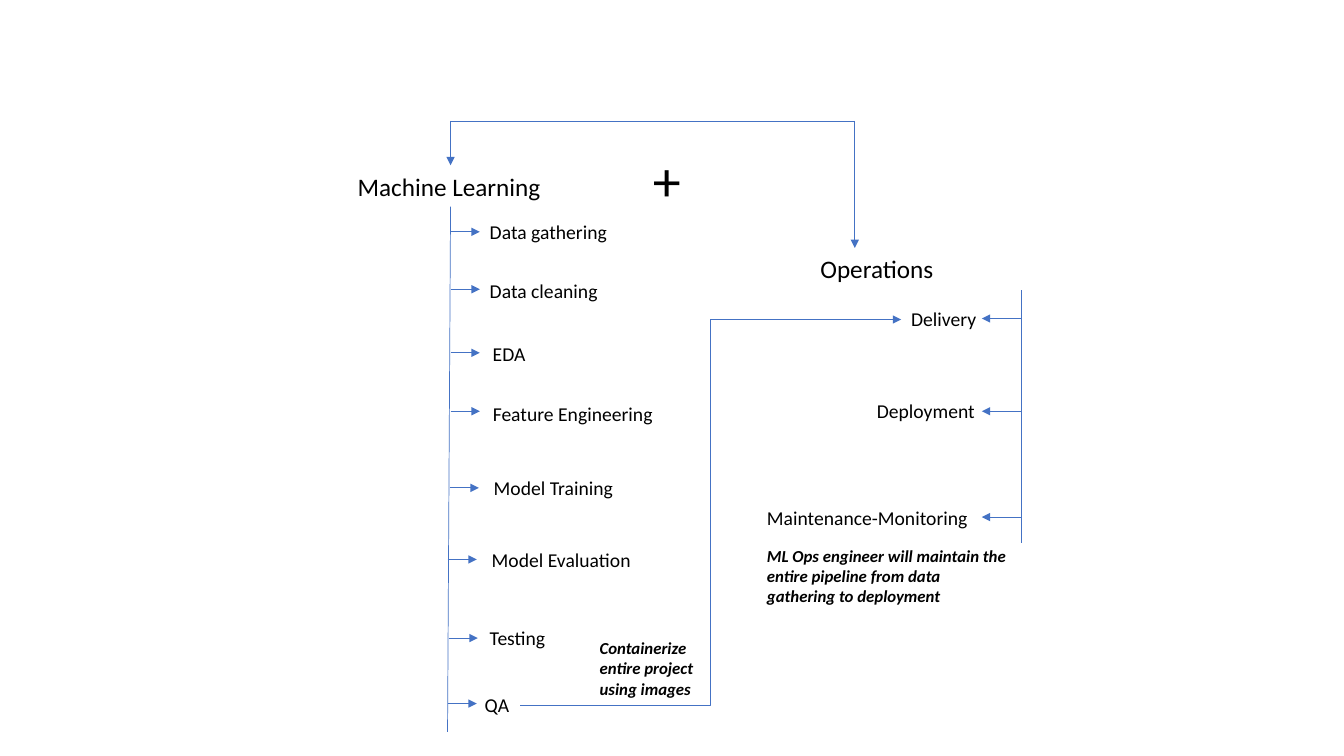
from dataclasses import dataclass

from lxml import etree
from pptx import Presentation
from pptx.dml.color import RGBColor
from pptx.enum.shapes import MSO_CONNECTOR
from pptx.enum.text import MSO_AUTO_SIZE
from pptx.oxml.ns import qn
from pptx.util import Inches, Pt

STRAIGHT, ELBOW = MSO_CONNECTOR.STRAIGHT, MSO_CONNECTOR.ELBOW
FIT_SHAPE = MSO_AUTO_SIZE.SHAPE_TO_FIT_TEXT

# The slide is a grid of square cells, 133.3 columns by 75 rows.
CELL = Inches(0.1)
COLUMNS, ROWS = 133.33, 75

BLUE, BLACK = "4472C4", "000000"
HEADING = {"size": Pt(18)}
STEP = {"size": Pt(14)}
NOTE = {"size": Pt(12), "bold": True, "italic": True}
PLUS = {"size": Pt(40)}

STEP_HEIGHT = 3.4
ARROW_LENGTH = 2.9
OPERATIONS_X, OPERATIONS_TIP = 101.3, 97.4


@dataclass
class Label:
    text: str
    left: float
    top: float
    width: float
    height: float
    font: dict
    wrap: bool = False


@dataclass
class Step:
    text: str
    left: float
    top: float
    width: float
    arrow_x: float
    arrow_y: float


@dataclass
class Line:
    x1: float
    y1: float
    x2: float
    y2: float
    arrow: bool = False
    kind: int = STRAIGHT


LABELS = [
    Label("Machine Learning", 34.5, 16.5, 20.4, 4, HEADING),
    Label("Operations", 80.4, 24.6, 13.4, 4, HEADING),
    Label("+", 63.8, 13.9, 6.6, 7.7, PLUS, True),
    Label("Containerize entire project using images", 58.5, 62.8, 14.5, 7.1, NOTE, True),
    Label("ML Ops engineer will maintain the entire pipeline from data gathering to deployment",
          75.1, 53.6, 25.9, 7.1, NOTE, True),
]

LEARNING_STEPS = [
    Step("Data gathering", 47.6, 21.3, 13.8, 44.7, 23),
    Step("Data cleaning", 47.6, 27.2, 12.8, 44.7, 28.7),
    Step("EDA", 47.9, 33.4, 5.3, 44.7, 35),
    Step("Feature Engineering", 47.9, 39.4, 18.1, 44.7, 40.8),
    Step("Model Training", 48, 46.7, 14, 44.6, 48.4),
    Step("Model Evaluation", 47.8, 53.9, 16, 44.4, 55.5),
    Step("Testing", 47.6, 61.6, 7.6, 44.5, 63.3),
    Step("QA", 47.1, 68.3, 4.5, 44.4, 69.8),
]

OPERATIONS_STEPS = [
    Step("Delivery", 89.4, 30, 8.6, OPERATIONS_X, 31.6),
    Step("Deployment", 86, 39.1, 11.8, OPERATIONS_X, 40.8),
    Step("Maintenance-Monitoring", 75.1, 49.7, 23, OPERATIONS_X, 51.3),
]

LINES = [
    Line(44.7, 12, 84.8, 12),
    Line(44.7, 12, 44.7, 16.4, True),
    Line(84.8, 12, 84.8, 24.6, True),
    Line(44.7, 20.5, 44.4, 72.6),
    Line(OPERATIONS_X, 28.8, OPERATIONS_X, 53.9),
    Line(51.6, 70, 89.4, 31.7, True, ELBOW),
]


def cells(count: float) -> int:
    return round(count * CELL)


def rgb(color: str) -> RGBColor:
    return RGBColor.from_string(color)


def draw_label(s, label: Label) -> None:
    box = s.shapes.add_textbox(
        *map(cells, (label.left, label.top, label.width, label.height)))
    tf = box.text_frame
    tf.word_wrap = label.wrap
    tf.auto_size = FIT_SHAPE
    r = tf.paragraphs[0].add_run()
    r.text = label.text
    for name, value in {"name": "Calibri", **label.font}.items():
        setattr(r.font, name, value)
    r.font.color.rgb = rgb(BLACK)


def draw_line(s, line: Line) -> None:
    connector = s.shapes.add_connector(
        line.kind, *map(cells, (line.x1, line.y1, line.x2, line.y2)))
    connector.line.color.rgb = rgb(BLUE)
    connector.line.width = Pt(0.5)
    sp_pr = connector.element.spPr
    if line.arrow:
        etree.SubElement(sp_pr.find(qn("a:ln")), qn("a:tailEnd"), type="triangle")
    etree.SubElement(sp_pr, qn("a:effectLst"))


def draw_step(s, step: Step, tip_x: float) -> None:
    """Draw a step's label and the arrow that reaches it from its trunk line."""
    draw_line(s, Line(step.arrow_x, step.arrow_y, tip_x, step.arrow_y, True))
    draw_label(s, Label(step.text, step.left, step.top, step.width, STEP_HEIGHT, STEP))


def main() -> None:
    prs = Presentation()
    prs.slide_width, prs.slide_height = cells(COLUMNS), cells(ROWS)
    s = prs.slides.add_slide(prs.slide_layouts[6])
    for line in LINES:
        draw_line(s, line)
    for step in LEARNING_STEPS:
        draw_step(s, step, step.arrow_x + ARROW_LENGTH)
    for step in OPERATIONS_STEPS:
        draw_step(s, step, OPERATIONS_TIP)
    for label in LABELS:
        draw_label(s, label)
    prs.save("out.pptx")


if __name__ == "__main__":
    main()
